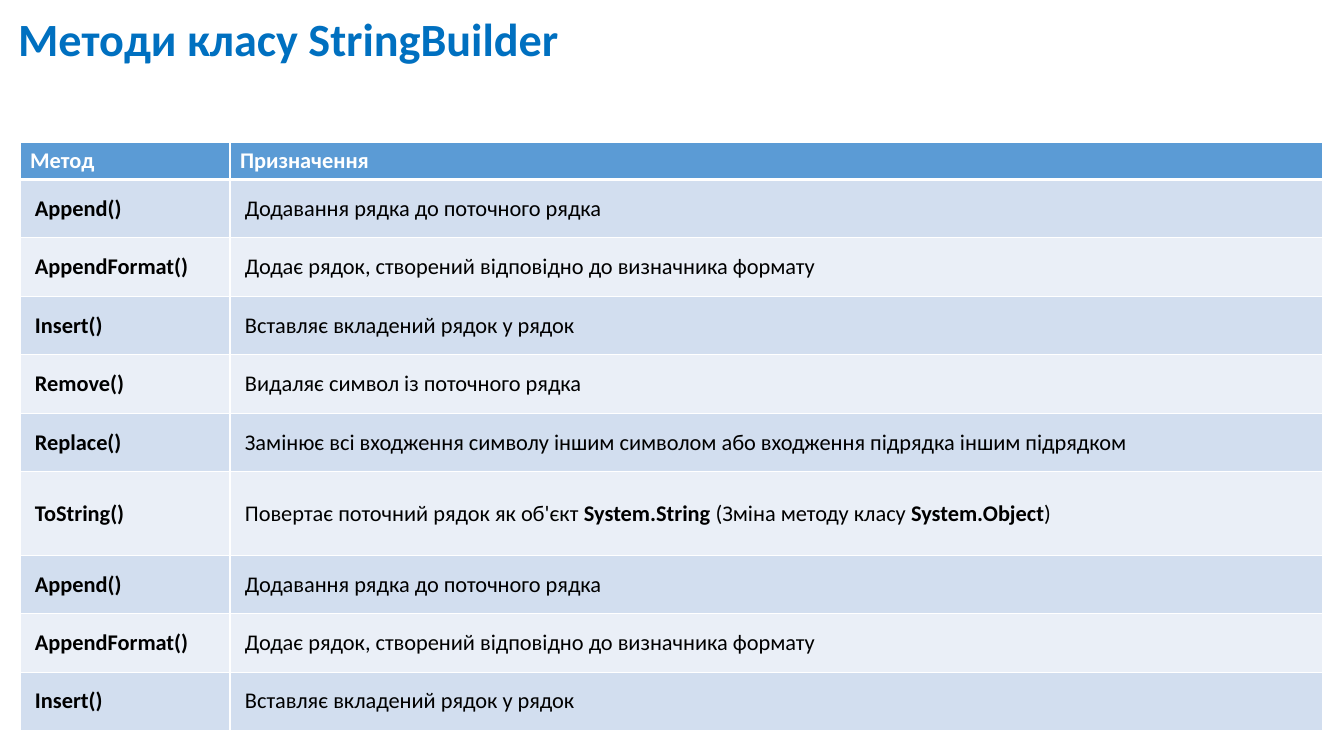
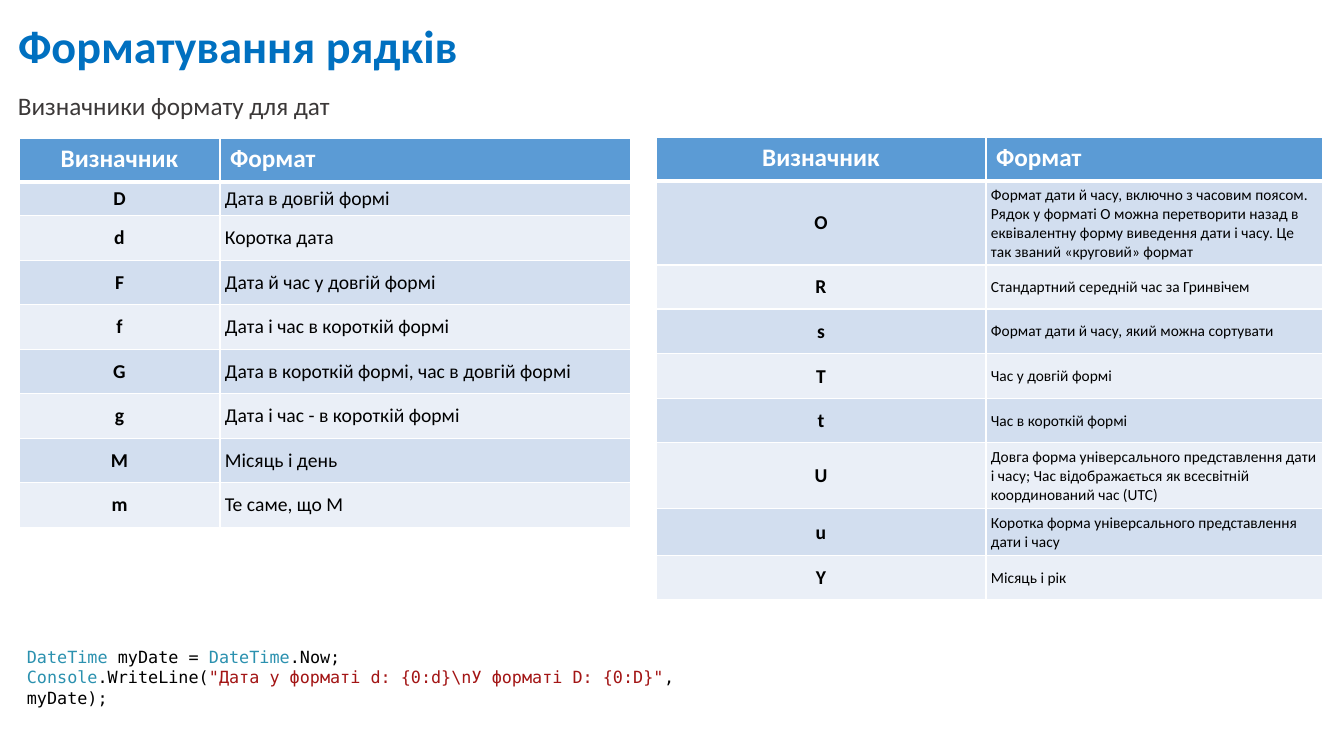
from itertools import pairwise

from lxml import etree
from pptx import Presentation
from pptx.dml.color import RGBColor
from pptx.enum.text import MSO_ANCHOR as Anchor, MSO_AUTO_SIZE as AutoSize, PP_ALIGN as Align
from pptx.oxml.ns import qn
from pptx.util import Emu, Pt

# Shared style
WIDTH, HEIGHT = 1344, 756
FONT, CODE_FONT = "Calibri", "DejaVu Sans Mono"
BLUE, GREY, BLACK, WHITE = "0070C0", "3B3838", "000000", "FFFFFF"
HEADER, BANDS = "5B9BD5", ("D2DEEF", "EAEFF7")
TYPE, STRING = "2B91AF", "A31515"


def px(length):
    return Emu(round(length * 914400 / 100.8))


def color(value):
    return RGBColor.from_string(value)


def spread(total, count):
    """Split a length into nearly equal whole parts."""
    edges = [round(i * total / count) for i in range(count + 1)]
    return [end - start for start, end in pairwise(edges)]


class SlideWriter:
    def __init__(self):
        self.deck = Presentation()
        self.deck.slide_width, self.deck.slide_height = px(WIDTH), px(HEIGHT)
        self.page = None

    def add_page(self, title, anchor=Anchor.TOP):
        self.page = self.deck.slides.add_slide(self.deck.slide_layouts[5])
        box = self.page.shapes.title
        box.left, box.top, box.width, box.height = px(8), px(12), px(1079), px(73)
        frame = box.text_frame
        frame.auto_size = AutoSize.NONE
        frame.vertical_anchor = anchor
        para = frame.paragraphs[0]
        para.alignment, para.line_spacing = Align.LEFT, 0.9
        self.add_spans(para, [(title, BLUE, True)], 33)

    def add_spans(self, para, spans, size, font=FONT):
        for text, ink, bold in spans:
            span = para.add_run()
            span.text = text
            span.font.name, span.font.size, span.font.bold = font, Pt(size), bold
            span.font.color.rgb = color(ink)

    def add_text(self, at, lines, size, font=FONT, wrap=True):
        box = self.page.shapes.add_textbox(*map(px, at))
        frame = box.text_frame
        frame.word_wrap = wrap
        for index, spans in enumerate(lines):
            para = frame.add_paragraph() if index else frame.paragraphs[0]
            self.add_spans(para, [(text, ink, False) for text, ink in spans], size, font)

    def add_table(self, left, top, columns, heights, rows, sizes, inset, key_align=Align.LEFT):
        """Sizes are those of the header, the key column and the description column.

        Asterisks switch bold on and off in descriptions.
        """
        table = self.page.shapes.add_table(
            len(rows), len(columns), px(left), px(top),
            px(sum(columns)), px(sum(heights))).table
        for column, width in zip(table.columns, columns):
            column.width = px(width)
        for r, (row, height) in enumerate(zip(rows, heights)):
            table.rows[r].height = px(height)
            for c, text in enumerate(row):
                cell = table.cell(r, c)
                para = cell.text_frame.paragraphs[0]
                para.alignment = Align.LEFT if c else key_align
                self.add_borders(cell, r)
                cell.fill.solid()
                if r == 0:
                    cell.fill.fore_color.rgb = color(HEADER)
                    self.add_spans(para, [(text, WHITE, True)], sizes[0])
                    continue
                cell.fill.fore_color.rgb = color(BANDS[(r - 1) % 2])
                cell.vertical_anchor = Anchor.MIDDLE
                cell.margin_left = cell.margin_right = px(inset)
                cell.margin_top = cell.margin_bottom = px(inset)
                spans = [(part, BLACK, c == 0 or i % 2 == 1)
                         for i, part in enumerate(text.split("*"))]
                self.add_spans(para, spans, sizes[1 + c])

    def add_borders(self, cell, row):
        properties = cell._tc.get_or_add_tcPr()
        thick = {0: "lnB", 1: "lnT"}.get(row)
        for side in ("lnL", "lnR", "lnT", "lnB"):
            line = etree.SubElement(properties, qn(f"a:{side}"))
            line.set("w", str(Pt(3 if side == thick else 1)))
            fill = etree.SubElement(line, qn("a:solidFill"))
            etree.SubElement(fill, qn("a:srgbClr")).set("val", WHITE)


# Contents
FIRST_METHODS = [
    ("Append()", "Додавання рядка до поточного рядка"),
    ("AppendFormat()", "Додає рядок, створений відповідно до визначника формату"),
    ("Insert()", "Вставляє вкладений рядок у рядок"),
]
METHODS = [
    ("Метод", "Призначення"),
    *FIRST_METHODS,
    ("Remove()", "Видаляє символ із поточного рядка"),
    ("Replace()", "Замінює всі входження символу іншим символом або входження "
                  "підрядка іншим підрядком"),
    ("ToString()", "Повертає поточний рядок як об'єкт *System.String *"
                   "(Зміна методу класу *System.Object*)"),
    *FIRST_METHODS,
]
FORMAT_HEADER = ("Визначник", "Формат")
DATE_FORMATS = [
    FORMAT_HEADER,
    ("D", "Дата в довгій формі"),
    ("d", "Коротка дата"),
    ("F", "Дата й час у довгій формі"),
    ("f", "Дата і час в короткій формі"),
    ("G", "Дата в короткій формі, час в довгій формі"),
    ("g", "Дата і час - в короткій формі"),
    ("М", "Місяць і день"),
    ("m", "Те саме, що М"),
]
TIME_FORMATS = [
    FORMAT_HEADER,
    ("O", "Формат дати й часу, включно з часовим поясом. Рядок у форматі O можна "
          "перетворити назад в еквівалентну форму виведення дати і часу. "
          "Це так званий «круговий» формат"),
    ("R", "Стандартний середній час за Гринвічем"),
    ("s", "Формат дати й часу, який можна сортувати"),
    ("T", "Час у довгій формі"),
    ("t", "Час в короткій формі"),
    ("U", "Довга форма універсального представлення дати і часу; "
          "Час відображається як всесвітній координований час (UTC)"),
    ("u", "Коротка форма універсального представлення дати і часу"),
    ("Y", "Місяць і рік"),
]
CODE = [
    [("DateTime ", TYPE), ("myDate = ", BLACK), ("DateTime", TYPE), (".Now;", BLACK)],
    [("Console", TYPE), (".WriteLine(", BLACK),
     ('"Дата у форматі d: {0:d}\\nУ форматі D: {0:D}"', STRING), (", myDate);", BLACK)],
]


def main():
    writer = SlideWriter()

    # StringBuilder methods
    writer.add_page("Методи класу StringBuilder")
    writer.add_table(20, 142, (210, 1093), [37, *spread(292, 5), 84, *spread(175, 3)],
                     METHODS, sizes=(16, 16, 16), inset=15)

    # Date and time format specifiers
    writer.add_page("Форматування рядків", Anchor.MIDDLE)
    writer.add_text((8, 85, 336, 72), [[("Визначники формату для дат", GREY)]], 18, wrap=False)
    writer.add_table(19, 138, (201, 411), [44, 33, *spread(312, 7)],
                     DATE_FORMATS, sizes=(18, 14, 14), inset=5, key_align=Align.CENTER)
    writer.add_table(656, 137, (330, 337), [44, 84, *spread(178, 4), 66, 47, 44],
                     TIME_FORMATS, sizes=(18, 14, 11), inset=5, key_align=Align.CENTER)
    writer.add_text((17, 642, 744, 50), CODE, 12, CODE_FONT)

    writer.deck.save("out.pptx")


if __name__ == "__main__":
    main()
